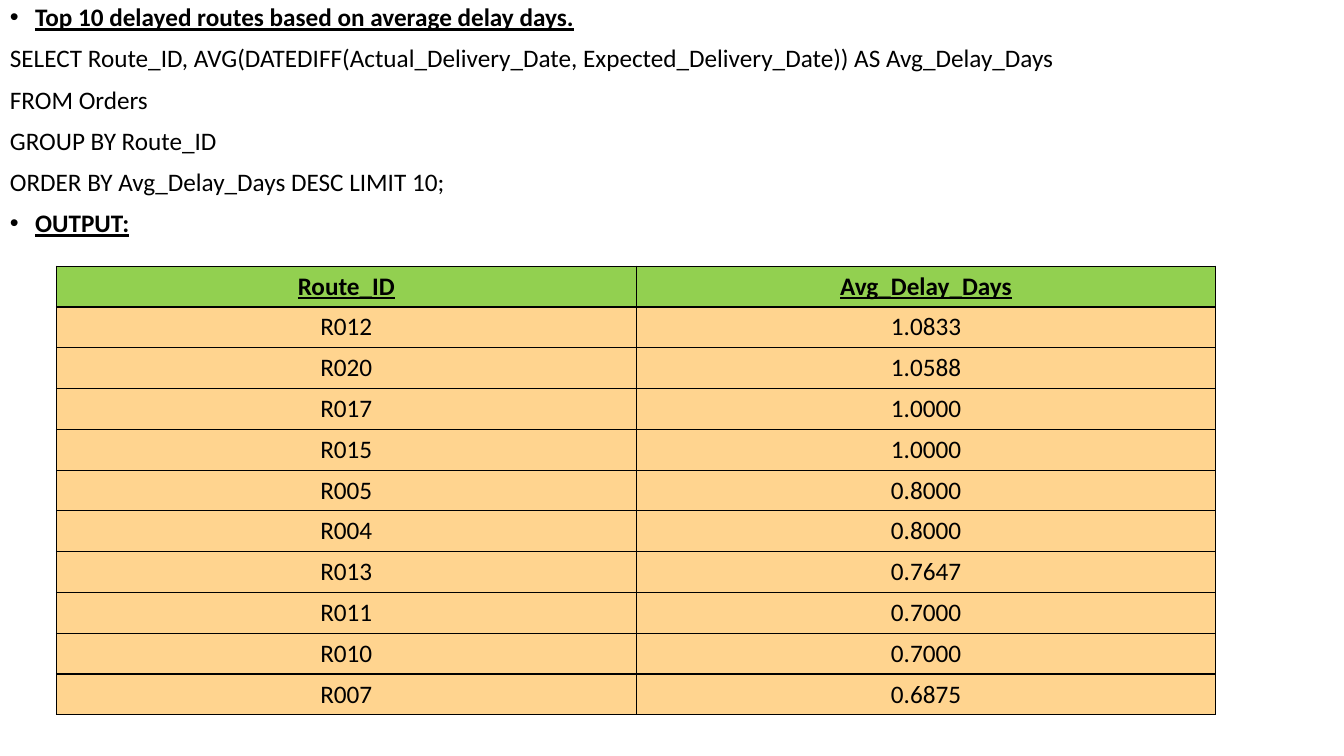
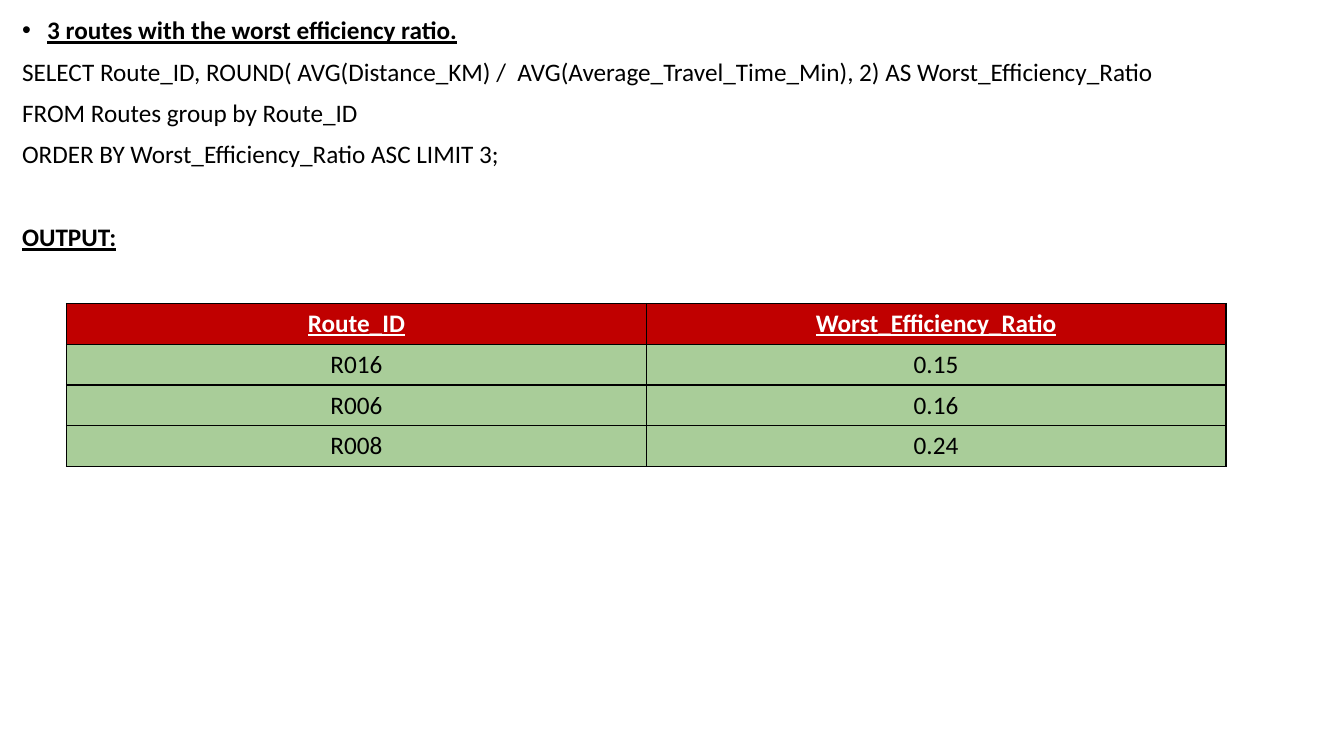
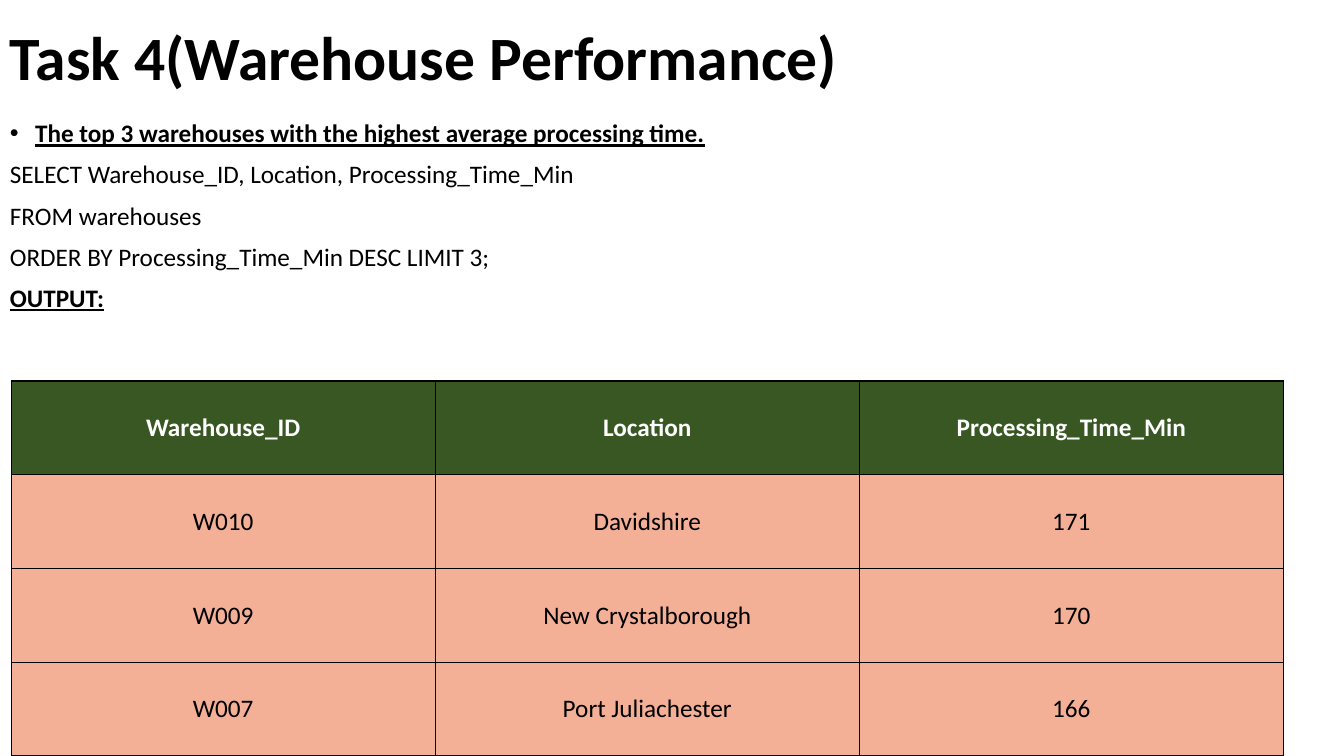
from typing import NamedTuple

from lxml.etree import SubElement
from pptx import Presentation
from pptx.dml.color import RGBColor
from pptx.enum.text import MSO_ANCHOR, PP_ALIGN
from pptx.oxml.ns import qn
from pptx.util import Inches, Pt

# Shared look: 100 x 100 grid, one font, black ink
PAGE_WIDTH, PAGE_HEIGHT = Inches(13.33), Inches(7.5)
COLUMN, ROW = PAGE_WIDTH / 100, PAGE_HEIGHT / 100
FONT = "Calibri"
BLACK, WHITE = "000000", "FFFFFF"
BODY_SIZE, TITLE_SIZE = 18, 44
LINE_SPACING, PARA_GAP = 0.9, 10
BULLET_INDENT = Inches(0.25)
COMPACT_ROW, TALL_ROW = 5.4, 12.4


class Box(NamedTuple):
    """Place on the page, in grid columns and rows."""
    left: float
    top: float
    width: float
    height: float

    def lengths(self):
        return (round(self.left * COLUMN), round(self.top * ROW),
                round(self.width * COLUMN), round(self.height * ROW))


class TableStyle(NamedTuple):
    header_fill: str
    header_ink: str
    header_underline: bool
    body_fill: str


def color(hex_string):
    return RGBColor.from_string(hex_string)


def style_font(para, size=BODY_SIZE, ink=BLACK, bold=False, underline=False):
    font = para.font
    font.name, font.size = FONT, Pt(size)
    font.bold, font.underline = bold, underline
    font.color.rgb = color(ink)


def add_bullet(para):
    properties = para._p.get_or_add_pPr()
    properties.set("marL", str(BULLET_INDENT))
    properties.set("indent", str(-BULLET_INDENT))
    SubElement(properties, qn("a:buFont")).set("typeface", "Arial")
    SubElement(properties, qn("a:buChar")).set("char", "•")


def add_borders(cell):
    """Draw a thin black line on each side of a cell."""
    properties = cell._tc.get_or_add_tcPr()
    for index, side in enumerate(("a:lnL", "a:lnR", "a:lnT", "a:lnB")):
        line = properties.makeelement(qn(side), {"w": str(Pt(1))})
        fill = SubElement(line, qn("a:solidFill"))
        SubElement(fill, qn("a:srgbClr")).set("val", BLACK)
        properties.insert(index, line)


def add_frame(page, box):
    frame = page.shapes.add_textbox(*box.lengths()).text_frame
    frame.word_wrap = True
    return frame


def add_title(page, box, text):
    frame = add_frame(page, box)
    frame.vertical_anchor = MSO_ANCHOR.MIDDLE
    para = frame.paragraphs[0]
    para.text, para.line_spacing = text, LINE_SPACING
    style_font(para, TITLE_SIZE, bold=True)


def add_query(page, box, heading, query, output_bullet=False,
              output_gap=PARA_GAP):
    """Place a heading, the lines of a query and the output label."""
    frame = add_frame(page, box)
    lines = [heading, *query, "OUTPUT:"]
    last = len(lines) - 1
    for index, text in enumerate(lines):
        para = frame.add_paragraph() if index else frame.paragraphs[0]
        para.text, para.line_spacing = text, LINE_SPACING
        para.space_before = Pt(output_gap if index == last else PARA_GAP)
        is_label = index in (0, last)
        if index == 0 or (index == last and output_bullet):
            add_bullet(para)
        style_font(para, bold=is_label, underline=is_label)


def add_output(page, left, top, width, row_height, rows, style):
    """Place the result table: equal columns, header row first."""
    box = Box(left, top, width, row_height * len(rows))
    table = page.shapes.add_table(len(rows), len(rows[0]),
                                  *box.lengths()).table
    table.horz_banding = table.first_row = False
    for table_row in table.rows:
        table_row.height = round(row_height * ROW)
    for row_index, values in enumerate(rows):
        header = row_index == 0
        for column_index, value in enumerate(values):
            cell = table.cell(row_index, column_index)
            cell.vertical_anchor = MSO_ANCHOR.MIDDLE
            cell.fill.solid()
            cell.fill.fore_color.rgb = color(
                style.header_fill if header else style.body_fill)
            add_borders(cell)
            para = cell.text_frame.paragraphs[0]
            para.text, para.alignment = value, PP_ALIGN.CENTER
            style_font(para, ink=style.header_ink if header else BLACK,
                       bold=header,
                       underline=header and style.header_underline)


def build_delayed_routes(page):
    add_query(page, Box(0, 0, 100, 90.13),
              "Top 10 delayed routes based on average delay days.",
              ["SELECT Route_ID, AVG(DATEDIFF(Actual_Delivery_Date, "
               "Expected_Delivery_Date)) AS Avg_Delay_Days",
               "FROM Orders",
               "GROUP BY Route_ID",
               "ORDER BY Avg_Delay_Days DESC LIMIT 10;"],
              output_bullet=True)
    add_output(page, 4.2, 35.2, 86.27, COMPACT_ROW,
               [("Route_ID", "Avg_Delay_Days"),
                ("R012", "1.0833"), ("R020", "1.0588"),
                ("R017", "1.0000"), ("R015", "1.0000"),
                ("R005", "0.8000"), ("R004", "0.8000"),
                ("R013", "0.7647"), ("R011", "0.7000"),
                ("R010", "0.7000"), ("R007", "0.6875")],
               TableStyle("92D050", BLACK, True, "FFD48F"))


def build_worst_routes(page):
    add_query(page, Box(0.9, 1.73, 97.9, 88.27),
              "3 routes with the worst efficiency ratio.",
              ["SELECT Route_ID, ROUND( AVG(Distance_KM) /  "
               "AVG(Average_Travel_Time_Min), 2) AS Worst_Efficiency_Ratio",
               "FROM Routes group by Route_ID",
               "ORDER BY Worst_Efficiency_Ratio ASC LIMIT 3;"],
              output_gap=40)
    add_output(page, 4.95, 40.13, 86.27, COMPACT_ROW,
               [("Route_ID", "Worst_Efficiency_Ratio"),
                ("R016", "0.15"), ("R006", "0.16"), ("R008", "0.24")],
               TableStyle("C00000", WHITE, True, "A9CD99"))


def build_slow_warehouses(page):
    add_title(page, Box(0, -1.6, 86.27, 19.33),
              "Task 4(Warehouse Performance)")
    add_query(page, Box(0, 15.33, 100, 84.67),
              "The top 3 warehouses with the highest average processing time.",
              ["SELECT Warehouse_ID, Location, Processing_Time_Min",
               "FROM warehouses",
               "ORDER BY Processing_Time_Min DESC LIMIT 3;"])
    add_output(page, 0.83, 50.4, 94.67, TALL_ROW,
               [("Warehouse_ID", "Location", "Processing_Time_Min"),
                ("W010", "Davidshire", "171"),
                ("W009", "New Crystalborough", "170"),
                ("W007", "Port Juliachester", "166")],
               TableStyle("385723", WHITE, False, "F4B096"))


def main():
    deck = Presentation()
    deck.slide_width, deck.slide_height = PAGE_WIDTH, PAGE_HEIGHT
    blank = deck.slide_layouts[6]
    for build in (build_delayed_routes, build_worst_routes,
                  build_slow_warehouses):
        build(deck.slides.add_slide(blank))
    deck.save("out.pptx")


if __name__ == "__main__":
    main()
